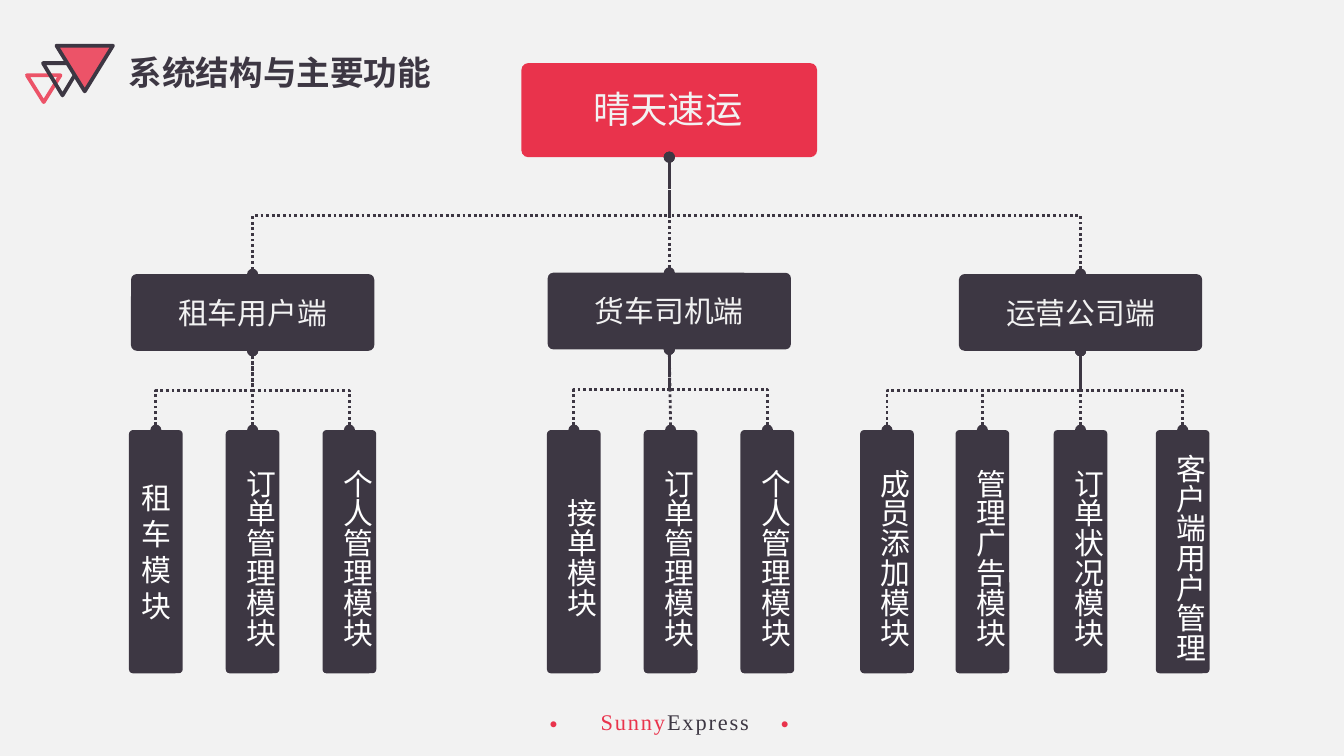
from lxml.etree import SubElement
from pptx import Presentation
from pptx.dml.color import RGBColor
from pptx.enum.dml import MSO_LINE
from pptx.enum.shapes import MSO_CONNECTOR, MSO_SHAPE
from pptx.enum.text import MSO_AUTO_SIZE, PP_ALIGN
from pptx.oxml.ns import qn
from pptx.util import Inches, Pt

INK, RED, ROSE, PALE, WHITE = "3D3743", "E9334C", "EC5368", "F2F2F2", "FFFFFF"
CJK = "Noto Sans CJK SC"

TITLE = "系统结构与主要功能"
COMPANY = "晴天速运"
BRANCHES = [
    ("租车用户端", 1.88, 2.04,
     [("租车模块", 1.16), ("订单管理模块", 1.88), ("个人管理模块", 2.6)]),
    ("货车司机端", 4.98, 2.03,
     [("接单模块", 4.27), ("订单管理模块", 4.99), ("个人管理模块", 5.71)]),
    ("运营公司端", 8.04, 2.04,
     [("成员添加模块", 6.6), ("管理广告模块", 7.31),
      ("订单状况模块", 8.04), ("客户端用户管理", 8.8)]),
]
STACKED = "租车模块"
FOOTER = [("Sunny", RED), ("Express", INK)]
FOOTER_DOTS = [3.99, 5.71]
TRIANGLES = [
    (0.2, 0.56, 0.25, 0.2, None, ROSE),
    (0.32, 0.47, 0.29, 0.24, None, INK),
    (0.42, 0.34, 0.42, 0.34, ROSE, INK),
]
LEAF_TOP, LEAF_WIDTH, LEAF_HEIGHT = 3.2, 0.4, 1.81

prs = Presentation()
prs.slide_width = Inches(10)
prs.slide_height = prs.slide_width * 9 // 16
slide = prs.slides.add_slide(prs.slide_layouts[6])


def rgb(code):
    return RGBColor.from_string(code)


def style_font(font, size, color, name=CJK, bold=None):
    font.size, font.name, font.bold = Pt(size), name, bold
    font.color.rgb = rgb(color)
    if name == CJK:
        SubElement(font._element, qn("a:ea")).set("typeface", name)


def add_label(lines, box, size, color, name=CJK, align=PP_ALIGN.CENTER, bold=None):
    frame = slide.shapes.add_textbox(*map(Inches, box)).text_frame
    frame.word_wrap = False
    frame.auto_size = MSO_AUTO_SIZE.SHAPE_TO_FIT_TEXT
    frame.text = "\n".join(lines)
    for paragraph in frame.paragraphs:
        paragraph.alignment = align
        style_font(paragraph.font, size, color, name, bold)
    return frame


def add_card(center, top, width, height, color):
    card = slide.shapes.add_shape(
        MSO_SHAPE.ROUNDED_RECTANGLE,
        *map(Inches, (center - width / 2, top, width, height)))
    card.adjustments[0] = 0.073
    card.shadow.inherit = False
    card.fill.solid()
    card.fill.fore_color.rgb = rgb(color)
    card.line.fill.background()
    return card


def add_leaf(name, center):
    card = add_card(center, LEAF_TOP, LEAF_WIDTH, LEAF_HEIGHT, INK)
    if name == STACKED:
        frame = add_label(name, (center - 0.21, 3.52, 0.42, 1.19), 16, WHITE)
        for paragraph in frame.paragraphs:
            paragraph.line_spacing = Pt(19.2)
    else:
        height = 0.11 + 0.22 * len(name)
        top = LEAF_TOP + (LEAF_HEIGHT - height) / 2
        frame = add_label([name], (center - 0.23, top, 0.47, height), 16, WHITE)
        frame._txBody.bodyPr.set("vert", "eaVert")
    return card


def link(child, parent):
    start_x, start_y = child.left + child.width // 2, child.top
    end_x, end_y = parent.left + parent.width // 2, parent.top + parent.height
    shift, rise = start_x - end_x, start_y - end_y
    bent = abs(shift) > Inches(0.02)
    kind = MSO_CONNECTOR.ELBOW if bent else MSO_CONNECTOR.STRAIGHT
    line = slide.shapes.add_connector(kind, start_x, start_y, end_x, end_y)
    line.begin_connect(child, 0)
    line.end_connect(parent, 2)
    if bent:
        line.left = (start_x + end_x - rise) // 2
        line.top = (start_y + end_y - abs(shift)) // 2
        line.width, line.height = rise, abs(shift)
        xfrm = line._element.spPr.xfrm
        xfrm.set("rot", "16200000")
        xfrm.set("flipH", "0")
        xfrm.set("flipV", "1" if shift > 0 else "0")
    line.line.color.rgb = rgb(INK)
    line.line.width = Pt(1.5)
    line.line.dash_style = MSO_LINE.ROUND_DOT
    outline = line.line._get_or_add_ln()
    for end in ("a:headEnd", "a:tailEnd"):
        SubElement(outline, qn(end)).set("type", "oval")
    SubElement(line._element.spPr, qn("a:effectLst"))


slide.background.fill.solid()
slide.background.fill.fore_color.rgb = rgb(PALE)

for left in FOOTER_DOTS:
    add_label(["•"], (left, 5.25, 0.27, 0.25), 9, RED, "Calibri", PP_ALIGN.LEFT)
footer = add_label([""], (4.37, 5.22, 1.33, 0.3), 12, INK,
                   "Times New Roman", PP_ALIGN.LEFT).paragraphs[0]
for word, color in FOOTER:
    run = footer.add_run()
    run.text = word
    style_font(run.font, 12, color, "Times New Roman")
    run.font._element.set("spc", "100")

for left, top, width, height, fill, edge in TRIANGLES:
    triangle = slide.shapes.add_shape(
        MSO_SHAPE.ISOSCELES_TRIANGLE, *map(Inches, (left, top, width, height)))
    triangle.rotation = 180
    triangle.shadow.inherit = False
    if fill:
        triangle.fill.solid()
        triangle.fill.fore_color.rgb = rgb(fill)
    else:
        triangle.fill.background()
    triangle.line.color.rgb = rgb(edge)
    triangle.line.width = Pt(2)
add_label([TITLE], (0.86, 0.34, 2.47, 0.71), 18, INK, align=PP_ALIGN.LEFT, bold=True)

company = add_card(4.98, 0.47, 2.2, 0.7, RED)
add_label([COMPANY], (4.31, 0.59, 1.32, 0.44), 20, PALE)
for name, center, top, modules in BRANCHES:
    branch = add_card(center, top, 1.81, 0.57, INK)
    add_label([name], (center - 0.66, top + 0.1, 1.32, 0.37), 16, PALE)
    link(branch, company)
    for module, module_center in modules:
        link(add_leaf(module, module_center), branch)

prs.save("out.pptx")
